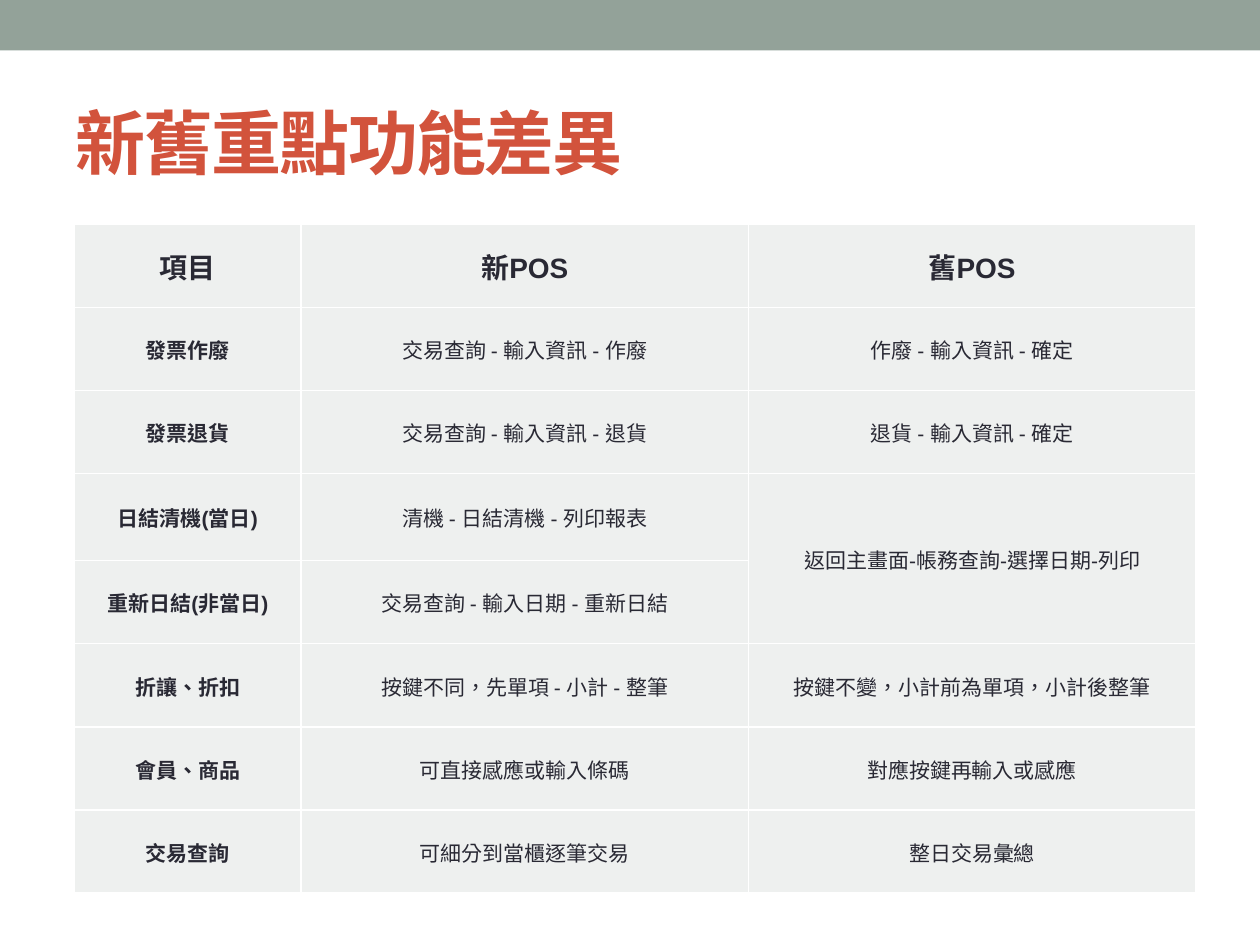
from typing import NamedTuple

from lxml import etree
from pptx import Presentation
from pptx.dml.color import RGBColor
from pptx.enum import lang, shapes, text
from pptx.oxml import ns
from pptx.util import Inches, Pt

SAGE = RGBColor(0x93, 0xA2, 0x99)
RED = RGBColor(0xD2, 0x53, 0x3C)
INK = RGBColor(0x29, 0x29, 0x34)
PALE = RGBColor(0xEE, 0xF0, 0xEF)
WHITE = RGBColor(0xFF, 0xFF, 0xFF)
FONT = "Arial"


class Feature(NamedTuple):
    item: str
    new_pos: str
    old_pos: str


HEADER = Feature("項目", "新POS", "舊POS")
FEATURES = [
    Feature("發票作廢", "交易查詢 - 輸入資訊 - 作廢", "作廢 - 輸入資訊 - 確定"),
    Feature("發票退貨", "交易查詢 - 輸入資訊 - 退貨", "退貨 - 輸入資訊 - 確定"),
    Feature("日結清機(當日)", "清機 - 日結清機 - 列印報表", "返回主畫面-帳務查詢-選擇日期-列印"),
    Feature("重新日結(非當日)", "交易查詢 - 輸入日期 - 重新日結", ""),
    Feature("折讓、折扣", "按鍵不同，先單項 - 小計 - 整筆", "按鍵不變，小計前為單項，小計後整筆"),
    Feature("會員、商品", "可直接感應或輸入條碼", "對應按鍵再輸入或感應"),
    Feature("交易查詢", "可細分到當櫃逐筆交易", "整日交易彙總"),
]
COLUMN_WIDTHS = [1.8, 3.55, 3.55]
ROW_HEIGHT = 0.66
CLOSING_ROW, CLOSING_HEIGHT = 3, 0.69


def style_text(para, size: float, color: RGBColor, bold: bool) -> None:
    for span in para.runs:
        span.font.name = FONT
        span.font.size = Pt(size)
        span.font.bold = bold
        span.font.color.rgb = color
        span.font.language_id = lang.MSO_LANGUAGE_ID.TRADITIONAL_CHINESE


def add_borders(cell, color: RGBColor, width: float) -> None:
    properties = cell._tc.get_or_add_tcPr()
    for index, side in enumerate(("lnL", "lnR", "lnT", "lnB")):
        line = etree.Element(ns.qn(f"a:{side}"), w=str(Pt(width)))
        fill = etree.SubElement(line, ns.qn("a:solidFill"))
        etree.SubElement(fill, ns.qn("a:srgbClr"), val=str(color))
        properties.insert(index, line)


def fill_cell(cell, wording: str, size: float, bold: bool) -> None:
    cell.fill.solid()
    cell.fill.fore_color.rgb = PALE
    add_borders(cell, WHITE, 1)
    cell.margin_left = cell.margin_right = cell.margin_top = Inches(0.01)
    cell.margin_bottom = 0
    cell.vertical_anchor = text.MSO_ANCHOR.MIDDLE
    para = cell.text_frame.paragraphs[0]
    para.text = wording
    para.alignment = text.PP_ALIGN.CENTER
    style_text(para, size, INK, bold)


def add_band(page) -> None:
    band = page.shapes.add_shape(
        shapes.MSO_SHAPE.RECTANGLE, 0, 0, Inches(10), Inches(0.4))
    band.shadow.inherit = False
    band.fill.solid()
    band.fill.fore_color.rgb = SAGE
    band.line.fill.background()


def add_title(page, wording: str) -> None:
    box = page.shapes.add_textbox(
        Inches(0.5), Inches(0.58), Inches(9), Inches(1.08))
    frame = box.text_frame
    frame.word_wrap = True
    frame.vertical_anchor = text.MSO_ANCHOR.MIDDLE
    frame.text = wording
    para = frame.paragraphs[0]
    style_text(para, 40, RED, True)
    # Letter spacing of -1 pt
    para.runs[0].font._element.set("spc", "-100")


def add_comparison(page, rows: list[Feature]) -> None:
    heights = [ROW_HEIGHT] * len(rows)
    heights[CLOSING_ROW] = CLOSING_HEIGHT
    table = page.shapes.add_table(
        len(rows), len(COLUMN_WIDTHS), Inches(0.59), Inches(1.78),
        Inches(sum(COLUMN_WIDTHS)), Inches(sum(heights))).table
    for column, width in zip(table.columns, COLUMN_WIDTHS):
        column.width = Inches(width)
    for r, (feature, height) in enumerate(zip(rows, heights)):
        table.rows[r].height = Inches(height)
        for c, wording in enumerate(feature):
            fill_cell(table.cell(r, c), wording,
                      size=16 if r == 0 else 12, bold=r == 0 or c == 0)
    # The old system has one procedure for both daily closings
    table.cell(CLOSING_ROW, 2).merge(table.cell(CLOSING_ROW + 1, 2))


def main() -> None:
    deck = Presentation()
    deck.slide_width, deck.slide_height = Inches(10), Inches(7.5)
    page = deck.slides.add_slide(deck.slide_layouts[6])
    add_band(page)
    add_title(page, "新舊重點功能差異")
    add_comparison(page, [HEADER, *FEATURES])
    deck.save("out.pptx")


if __name__ == "__main__":
    main()
